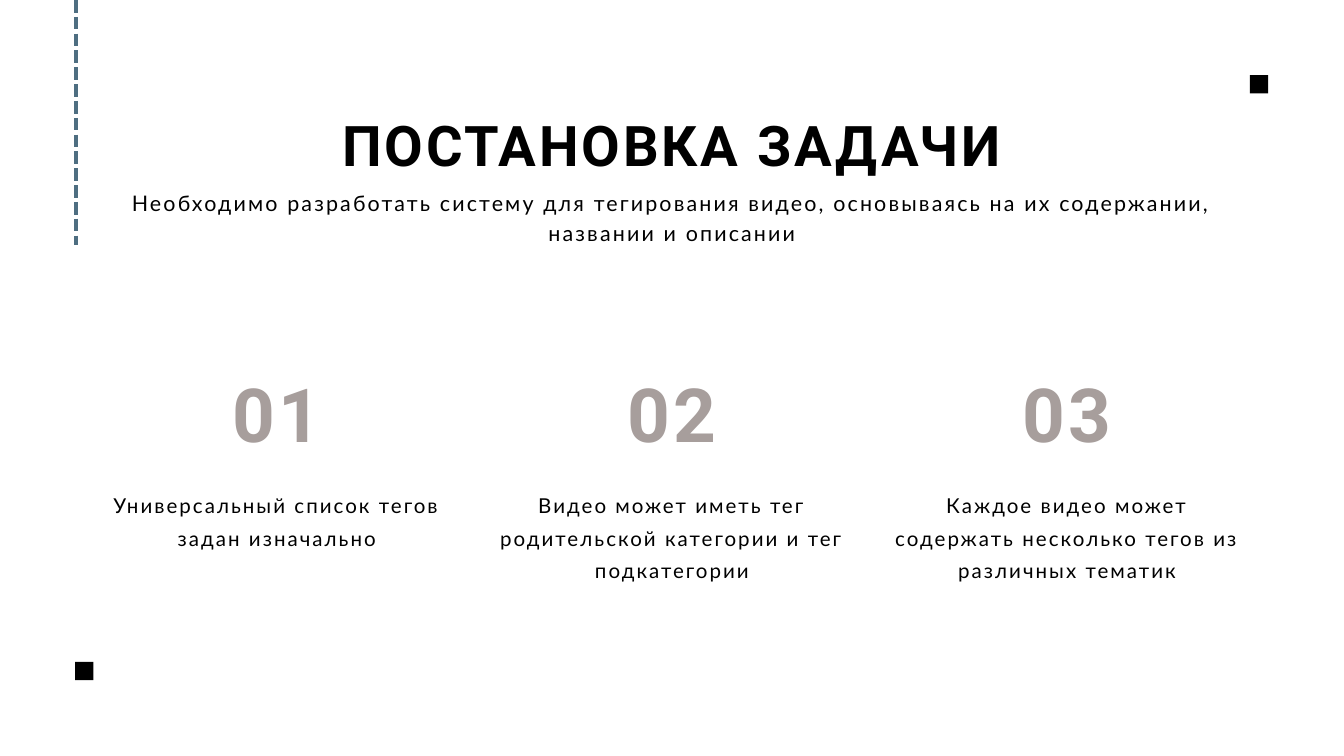
from pptx import Presentation
from pptx.dml.color import RGBColor
from pptx.enum import dml, shapes, text
from pptx.oxml import ns
from pptx.util import Inches, Pt
from lxml import etree

BLACK, TAUPE, BLUE = "000000", "A79E9C", "4E6E81"
LEFT, WIDTH, GAP = 1.51, 16.98, 0.66
TASKS = [
    ("01", "Универсальный список тегов задан изначально"),
    ("02", "Видео может иметь тег родительской категории и тег подкатегории"),
    ("03", "Каждое видео может содержать несколько тегов из различных тематик"),
]


def color(value):
    return RGBColor.from_string(value)


def add_text(slide, box, words, font, size, leading, spacing, fill=BLACK, bold=False):
    frame = slide.shapes.add_textbox(*map(Inches, box)).text_frame
    frame.word_wrap = True
    frame.margin_left = frame.margin_top = frame.margin_right = frame.margin_bottom = 0
    paragraph = frame.paragraphs[0]
    paragraph.alignment = text.PP_ALIGN.CENTER
    paragraph.line_spacing = Pt(leading)
    run = paragraph.add_run()
    run.text = words
    run.font.name = font
    run.font.size = Pt(size)
    run.font.bold = bold
    run.font.color.rgb = color(fill)
    run.font._element.set("spc", str(round(spacing * 100)))


def add_heading(slide, left, top, width):
    add_text(slide, (left, top, width, 1.18), "ПОСТАНОВКА ЗАДАЧИ",
             "Roboto", 60, 84, 3, bold=True)
    add_text(slide, (left, top + 1.29, width, 0.87),
             "Необходимо разработать систему для тегирования видео, "
             "основываясь на их содержании, названии и описании",
             "Lato", 23, 32.2, 2.3)


def add_task(slide, left, top, width, number, description):
    add_text(slide, (left, top, width, 1.55), number,
             "Roboto", 80, 112, 4, TAUPE, True)
    add_text(slide, (left, top + 1.96, width, 1.42), description,
             "Lato", 22, 35.2, 2.2)


def add_tasks(slide, left, top, width):
    column = (width - GAP * (len(TASKS) - 1)) / len(TASKS)
    for index, (number, description) in enumerate(TASKS):
        add_task(slide, left + index * (column + GAP), top, column, number, description)


def add_square(slide, left, top, side=0.27):
    square = slide.shapes.add_shape(
        shapes.MSO_SHAPE.RECTANGLE, *map(Inches, (left, top, side, side)))
    square.shadow.inherit = False
    square.fill.solid()
    square.fill.fore_color.rgb = color(BLACK)
    square.line.fill.background()


def add_dashed_line(slide, left, top, height):
    dashes = slide.shapes.add_connector(
        shapes.MSO_CONNECTOR.STRAIGHT,
        *map(Inches, (left, top, left, top + height)))
    dashes.line.color.rgb = color(BLUE)
    dashes.line.width = Pt(4.5)
    dashes.line.dash_style = dml.MSO_LINE.SQUARE_DOT
    dashes.line._ln.find(ns.qn("a:prstDash")).set("val", "sysDash")
    etree.SubElement(dashes._element.spPr, ns.qn("a:effectLst"))


def main():
    deck = Presentation()
    deck.slide_width, deck.slide_height = Inches(20), Inches(11.25)
    slide = deck.slides.add_slide(deck.slide_layouts[6])
    add_heading(slide, LEFT, 1.48, WIDTH)
    add_tasks(slide, LEFT, 5.25, WIDTH)
    add_square(slide, 1.12, 9.85)
    add_square(slide, 18.6, 1.12)
    add_dashed_line(slide, 1.13, 0, 3.65)
    deck.save("out.pptx")


if __name__ == "__main__":
    main()
